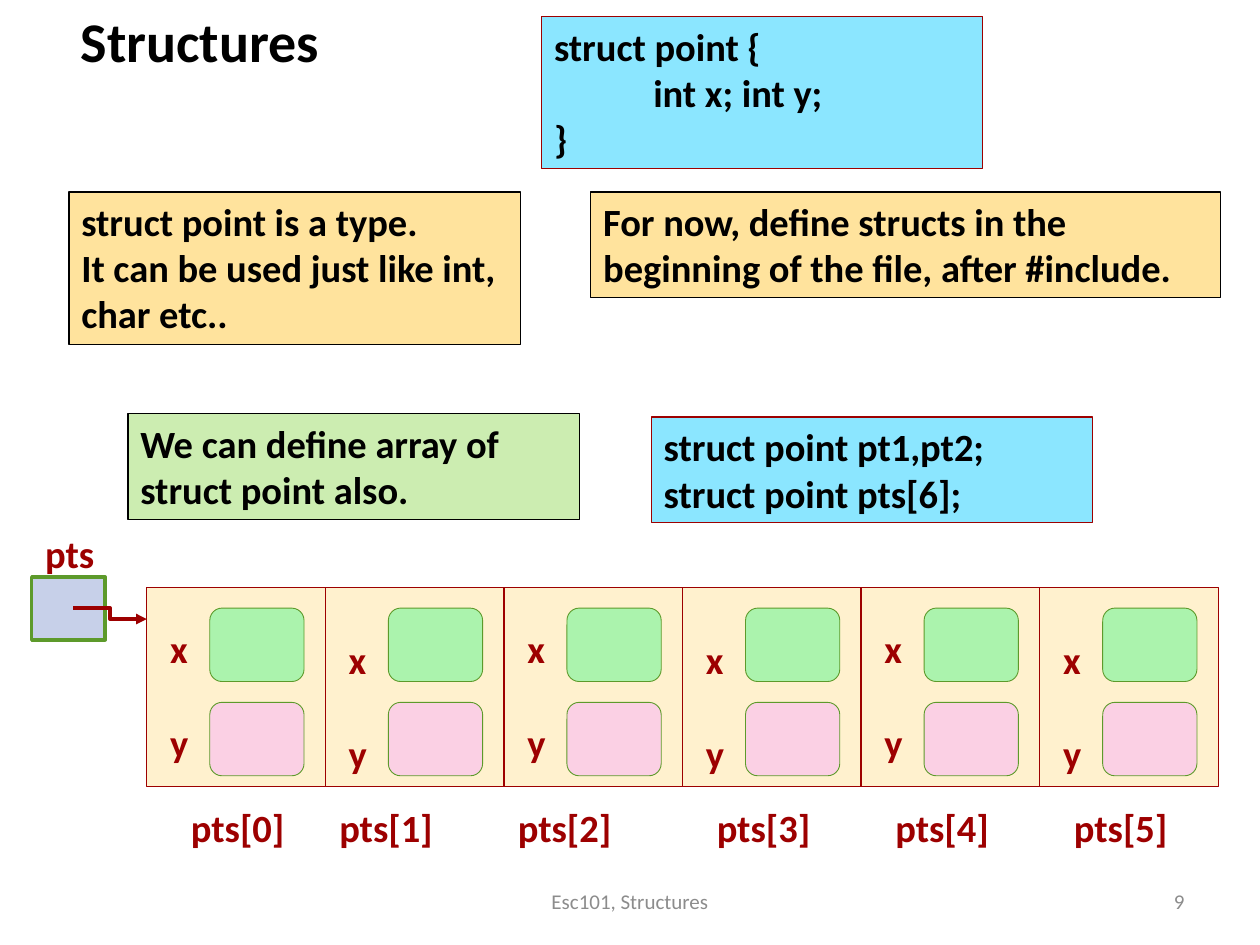
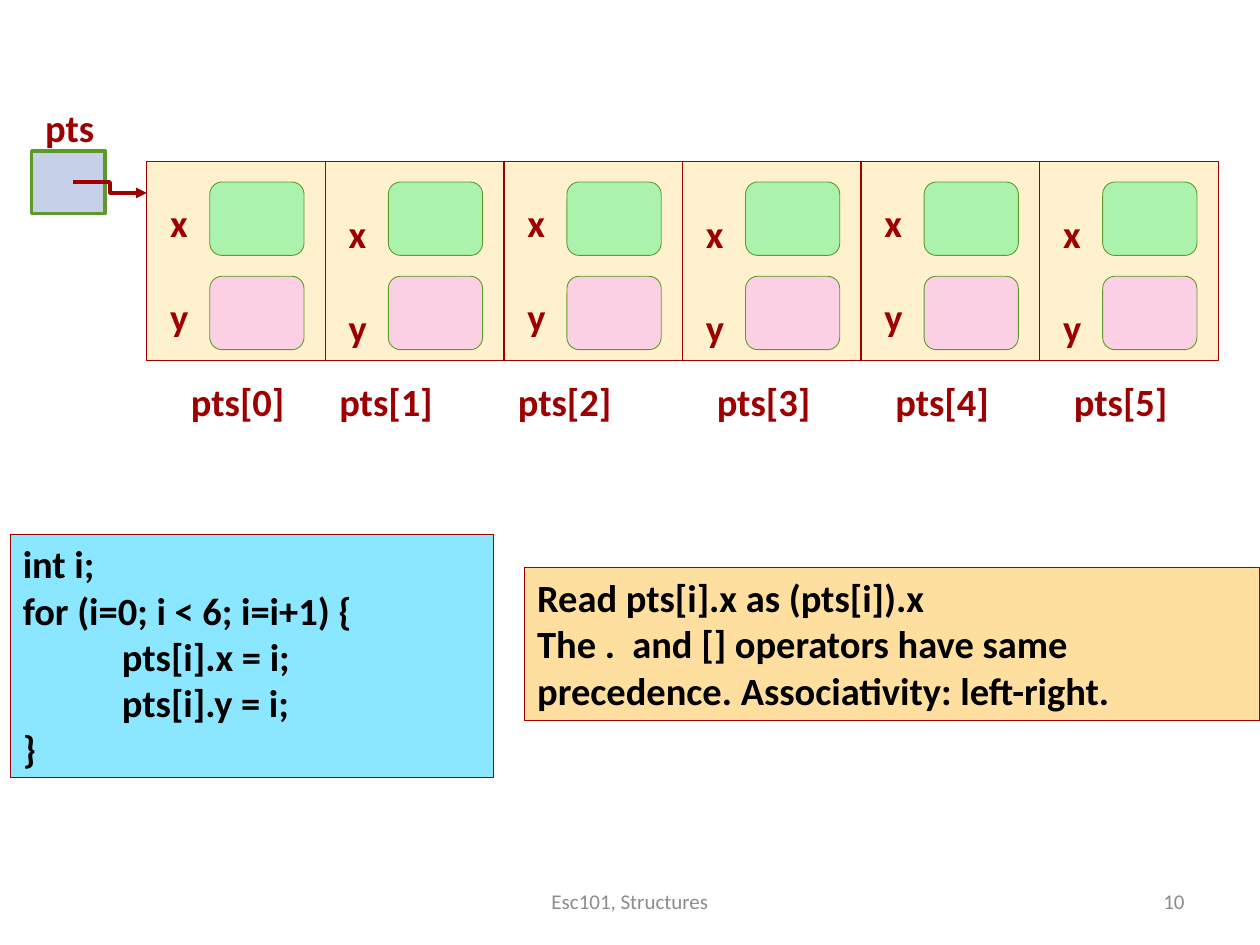
"""Build two slides that explain structures and arrays of structures."""
from dataclasses import dataclass

from lxml.etree import SubElement
from pptx import Presentation
from pptx.dml.color import RGBColor
from pptx.enum.shapes import MSO_CONNECTOR, MSO_SHAPE
from pptx.enum.text import MSO_ANCHOR, MSO_AUTO_SIZE, PP_ALIGN
from pptx.oxml.ns import qn
from pptx.util import Cm, Pt


@dataclass(frozen=True)
class Theme:
    """Colours and type sizes shared by the slides."""
    font: str = "Calibri"
    title_size: float = 32
    body_size: float = 22
    footer_size: float = 12
    ink: str = "000000"
    accent: str = "9D0000"
    muted: str = "8C8C8C"
    code: str = "8BE6FF"
    note: str = "FFE39D"
    remark: str = "FFDF9F"
    tip: str = "CCEDB1"
    cell: str = "FFF1CE"
    field_x: str = "ABF3AD"
    field_y: str = "FBD0E4"
    field_line: str = "5D9A2B"
    pointer: str = "C7D0E9"


THEME = Theme()
TAB_STOP = Cm(2)

# Geometry of the array diagram, in centimetres
ARRAY_LEFT = 2.96
CELL_WIDTH, CELL_HEIGHT = 3.6, 4.02
FIELD_LEFT, FIELD_TOP = 1.27, 0.42
FIELD_WIDTH, FIELD_HEIGHT, FIELD_PITCH = 1.9, 1.48, 1.9
FIELDS = (("x", THEME.field_x), ("y", THEME.field_y))
NAME_LEFT = 0.22
NAME_TOPS = (0.64, 0.85)  # even cells, odd cells
INDEX_TOP = 4.24
INDEX_SHIFTS = (0.64, 0.03, 0.03, 0.44, 0.44, 0.44)  # from the left of each cell
LABEL_HEIGHT = 1.19


def lengths(*values):
    """Turn numbers of centimetres into lengths."""
    return [Cm(value) for value in values]


def add_lines(frame, lines, size=THEME.body_size, color=THEME.ink, bold=True,
              align=PP_ALIGN.LEFT):
    """Write one paragraph for each line of text."""
    for number, line in enumerate(lines):
        paragraph = frame.paragraphs[0] if number == 0 else frame.add_paragraph()
        paragraph.alignment = align
        if line.startswith("\t"):
            tab_list = SubElement(paragraph._p.get_or_add_pPr(), qn("a:tabLst"))
            SubElement(tab_list, qn("a:tab"), pos=str(TAB_STOP), algn="l")
        run = paragraph.add_run()
        run.text = line
        run.font.name = THEME.font
        run.font.size = Pt(size)
        run.font.bold = bold
        run.font.color.rgb = RGBColor.from_string(color)


def add_block(shapes, box, fill, line, width, kind=MSO_SHAPE.RECTANGLE):
    """Add a filled and outlined shape."""
    shape = shapes.add_shape(kind, *lengths(*box))
    shape.shadow.inherit = False
    shape.fill.solid()
    shape.fill.fore_color.rgb = RGBColor.from_string(fill)
    shape.line.color.rgb = RGBColor.from_string(line)
    shape.line.width = Pt(width)
    return shape


def add_panel(slide, box, lines, fill, line, width=0.75):
    """Add a coloured box with text starting at its top left."""
    frame = add_block(slide.shapes, box, fill, line, width).text_frame
    frame.word_wrap = True
    frame.auto_size = MSO_AUTO_SIZE.SHAPE_TO_FIT_TEXT
    frame.vertical_anchor = MSO_ANCHOR.TOP
    add_lines(frame, lines)


def add_code(slide, box, lines):
    """Add a panel of program code."""
    add_panel(slide, box, lines, THEME.code, THEME.accent)


def add_label(shapes, left, top, width, text):
    """Add a short label of the diagram on one line."""
    frame = shapes.add_textbox(*lengths(left, top, width, LABEL_HEIGHT)).text_frame
    frame.word_wrap = False
    frame.auto_size = MSO_AUTO_SIZE.SHAPE_TO_FIT_TEXT
    add_lines(frame, [text], color=THEME.accent)


def add_arrow(shapes, *ends):
    """Add an elbow connector with an arrowhead at its end."""
    arrow = shapes.add_connector(MSO_CONNECTOR.ELBOW, *lengths(*ends))
    arrow.line.color.rgb = RGBColor.from_string(THEME.accent)
    arrow.line.width = Pt(2)
    SubElement(arrow.line._get_or_add_ln(), qn("a:tailEnd"), type="triangle")
    SubElement(arrow._element.spPr, qn("a:effectLst"))


def add_cell(shapes, index, top):
    """Add one array element with its fields and its index."""
    left = ARRAY_LEFT + index * CELL_WIDTH
    add_block(shapes, (left, top, CELL_WIDTH, CELL_HEIGHT),
              THEME.cell, THEME.accent, 0.75)
    for row, (name, fill) in enumerate(FIELDS):
        drop = top + row * FIELD_PITCH
        add_block(shapes,
                  (left + FIELD_LEFT, drop + FIELD_TOP, FIELD_WIDTH, FIELD_HEIGHT),
                  fill, THEME.field_line, 0.5, MSO_SHAPE.ROUNDED_RECTANGLE)
        add_label(shapes, left + NAME_LEFT, drop + NAME_TOPS[index % 2], 0.86, name)
    add_label(shapes, left + INDEX_SHIFTS[index], top + INDEX_TOP, 2.41,
              f"pts[{index}]")


def add_array(slide, top):
    """Add the grouped diagram of the pointer and its array."""
    shapes = slide.shapes.add_group_shape().shapes
    for index in range(len(INDEX_SHIFTS)):
        add_cell(shapes, index, top)
    add_label(shapes, 0.66, top - 1.27, 1.5, "pts")
    add_block(shapes, (0.64, top - 0.21, 1.48, 1.27),
              THEME.pointer, THEME.field_line, 2)
    add_arrow(shapes, 1.48, top + 0.42, ARRAY_LEFT, top + 0.64)


def add_title(slide, text):
    """Add the slide title."""
    frame = slide.shapes.add_textbox(*lengths(0.33, 0, 7.41, 1.6)).text_frame
    frame.word_wrap = True
    add_lines(frame, [text], THEME.title_size, align=PP_ALIGN.CENTER)


def add_footer(slide, number):
    """Add the course name and the slide number."""
    for left, width, text, align in (
            (8.68, 8.04, "Esc101, Structures", PP_ALIGN.CENTER),
            (18.2, 5.93, str(number), PP_ALIGN.RIGHT)):
        frame = slide.shapes.add_textbox(*lengths(left, 17.66, width, 1.01)).text_frame
        frame.word_wrap = True
        frame.vertical_anchor = MSO_ANCHOR.MIDDLE
        add_lines(frame, [text], THEME.footer_size, THEME.muted, False, align)


def build_definition_slide(slide):
    """Show how a structure and an array of structures are defined."""
    add_title(slide, "Structures")
    add_code(slide, (10.92, 0.33, 8.89, 3.07),
             ["struct point {", "\tint x; int y;", "}"])
    add_code(slide, (13.13, 8.41, 8.89, 2.13),
             ["struct point pt1,pt2;", "struct point pts[6];"])
    add_panel(slide, (1.39, 3.87, 9.1, 3.07),
              ["struct point is a type.", "It can be used just like int, char etc.."],
              THEME.note, THEME.ink)
    add_panel(slide, (11.91, 3.87, 12.7, 2.13),
              ["For now, define structs in the beginning of the file, after #include."],
              THEME.note, THEME.ink)
    add_panel(slide, (2.58, 8.34, 9.1, 2.13),
              ["We can define array of struct point also."],
              THEME.tip, THEME.ink)
    add_array(slide, 11.84)
    add_footer(slide, 9)


def build_access_slide(slide):
    """Show how the fields of array elements are read and set."""
    add_array(slide, 3.25)
    add_code(slide, (0.21, 10.77, 9.74, 4.9),
             ["int i;", "for (i=0; i < 6; i=i+1) {", "\tpts[i].x = i;",
              "\tpts[i].y = i;", "}"])
    add_panel(slide, (10.58, 11.45, 14.82, 3.07),
              ["Read pts[i].x as (pts[i]).x",
               "The .  and [] operators have same precedence. "
               "Associativity: left-right."],
              THEME.remark, THEME.accent, 0.5)
    add_footer(slide, 10)


def main():
    """Build and save the presentation."""
    presentation = Presentation()
    presentation.slide_width, presentation.slide_height = lengths(25.4, 19.05)
    blank = presentation.slide_layouts[6]
    for build in (build_definition_slide, build_access_slide):
        build(presentation.slides.add_slide(blank))
    presentation.save("out.pptx")


main()
